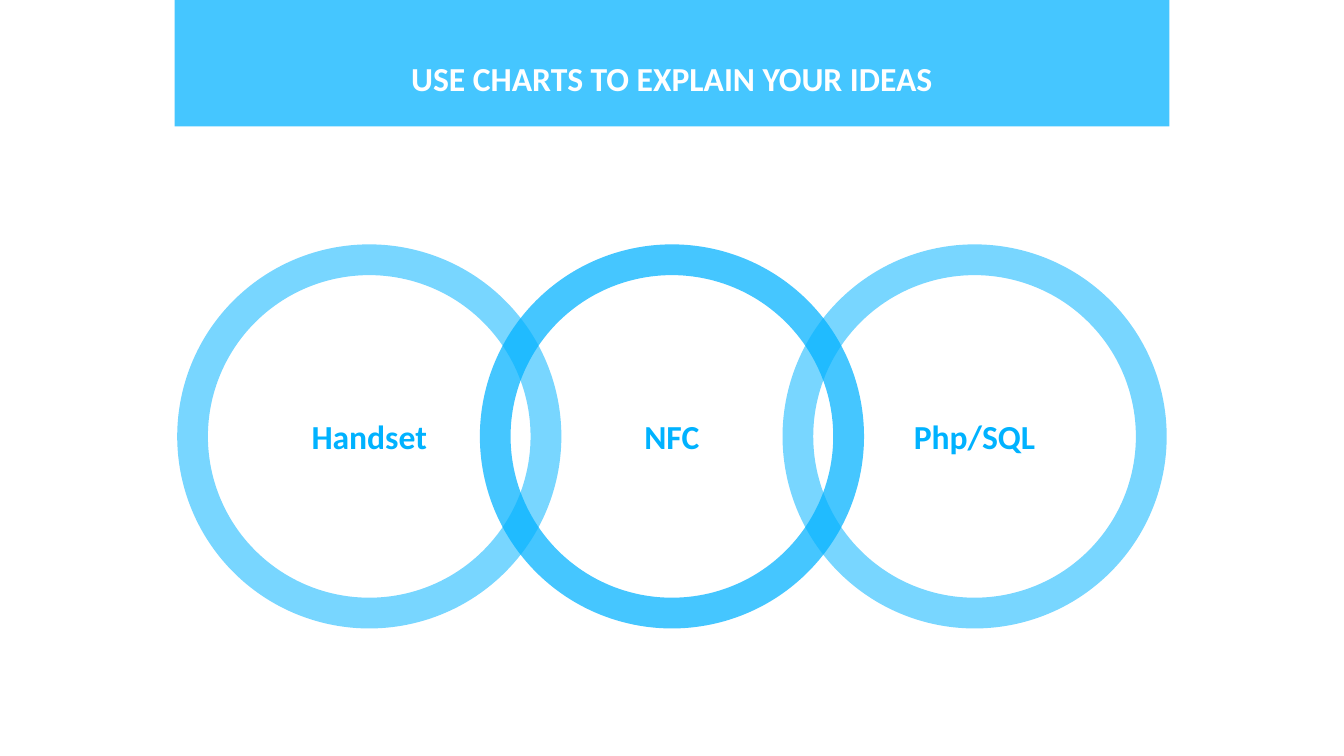
from dataclasses import dataclass

from lxml.etree import SubElement
from pptx import Presentation
from pptx.dml.color import RGBColor
from pptx.enum.shapes import MSO_SHAPE
from pptx.enum.text import MSO_ANCHOR, PP_ALIGN
from pptx.oxml.ns import qn
from pptx.util import Cm, Pt

SLIDE_WIDTH, SLIDE_HEIGHT = 25.4, 14.29
BANNER_WIDTH, BANNER_HEIGHT = 18.8, 2.39
RING_SIZE, RING_TOP, RING_STEP = 7.26, 4.62, 5.72
INSET = 0.25


@dataclass(frozen=True)
class Theme:
    """Colours, opacities in percent and type."""
    accent: RGBColor = RGBColor(0x00, 0xB2, 0xFF)
    light: RGBColor = RGBColor(0xFF, 0xFF, 0xFF)
    strong: int = 73
    soft: int = 53
    font: str = "Calibri"
    size: int = 18


class SlideBuilder:
    """Draws styled elements, centred across the slide unless shifted."""

    def __init__(self, slide, theme):
        """Keep the slide and its style."""
        self.slide = slide
        self.theme = theme

    def label(self, shape, text, color, anchor):
        """Put centred bold text into a shape."""
        frame = shape.text_frame
        frame.text = text
        frame.word_wrap = True
        frame.vertical_anchor = anchor
        frame.margin_left = frame.margin_right = Cm(INSET)
        frame.margin_top = frame.margin_bottom = Cm(INSET)
        para = frame.paragraphs[0]
        para.alignment = PP_ALIGN.CENTER
        font = para.runs[0].font
        font.name = self.theme.font
        font.size = Pt(self.theme.size)
        font.bold = True
        font.color.rgb = color

    def shape(self, kind, top, width, height, opacity, shift=0):
        """Add a translucent accent shape without outline."""
        left = (SLIDE_WIDTH - width) / 2 + shift
        shape = self.slide.shapes.add_shape(
            kind, Cm(left), Cm(top), Cm(width), Cm(height))
        shape.shadow.inherit = False
        shape.line.fill.background()
        shape.fill.solid()
        shape.fill.fore_color.rgb = self.theme.accent
        color = shape.element.spPr.find(qn("a:solidFill"))[0]
        SubElement(color, qn("a:alpha"), val=str(opacity * 1000))
        return shape

    def banner(self):
        """Add the band at the top edge."""
        self.shape(MSO_SHAPE.RECTANGLE, 0, BANNER_WIDTH, BANNER_HEIGHT,
                   self.theme.strong)

    def title(self, text):
        """Add the title over the banner."""
        left = (SLIDE_WIDTH - BANNER_WIDTH) / 2
        box = self.slide.shapes.add_textbox(
            Cm(left), Cm(0.84), Cm(BANNER_WIDTH), Cm(1.4))
        self.label(box, text, self.theme.light, MSO_ANCHOR.TOP)

    def ring(self, text, position, opacity):
        """Add a labelled ring, position counted from the middle one."""
        ring = self.shape(MSO_SHAPE.DONUT, RING_TOP, RING_SIZE, RING_SIZE,
                          opacity, position * RING_STEP)
        ring.adjustments[0] = 0.08
        self.label(ring, text, self.theme.accent, MSO_ANCHOR.MIDDLE)


def main():
    """Build and save the deck."""
    deck = Presentation()
    deck.slide_width, deck.slide_height = Cm(SLIDE_WIDTH), Cm(SLIDE_HEIGHT)
    theme = Theme()
    page = SlideBuilder(deck.slides.add_slide(deck.slide_layouts[6]), theme)
    page.banner()
    page.title("USE CHARTS TO EXPLAIN YOUR IDEAS")
    rings = [("NFC", 0, theme.strong), ("Php/SQL", 1, theme.soft),
             ("Handset", -1, theme.soft)]
    for text, position, opacity in rings:
        page.ring(text, position, opacity)
    deck.save("out.pptx")


main()
